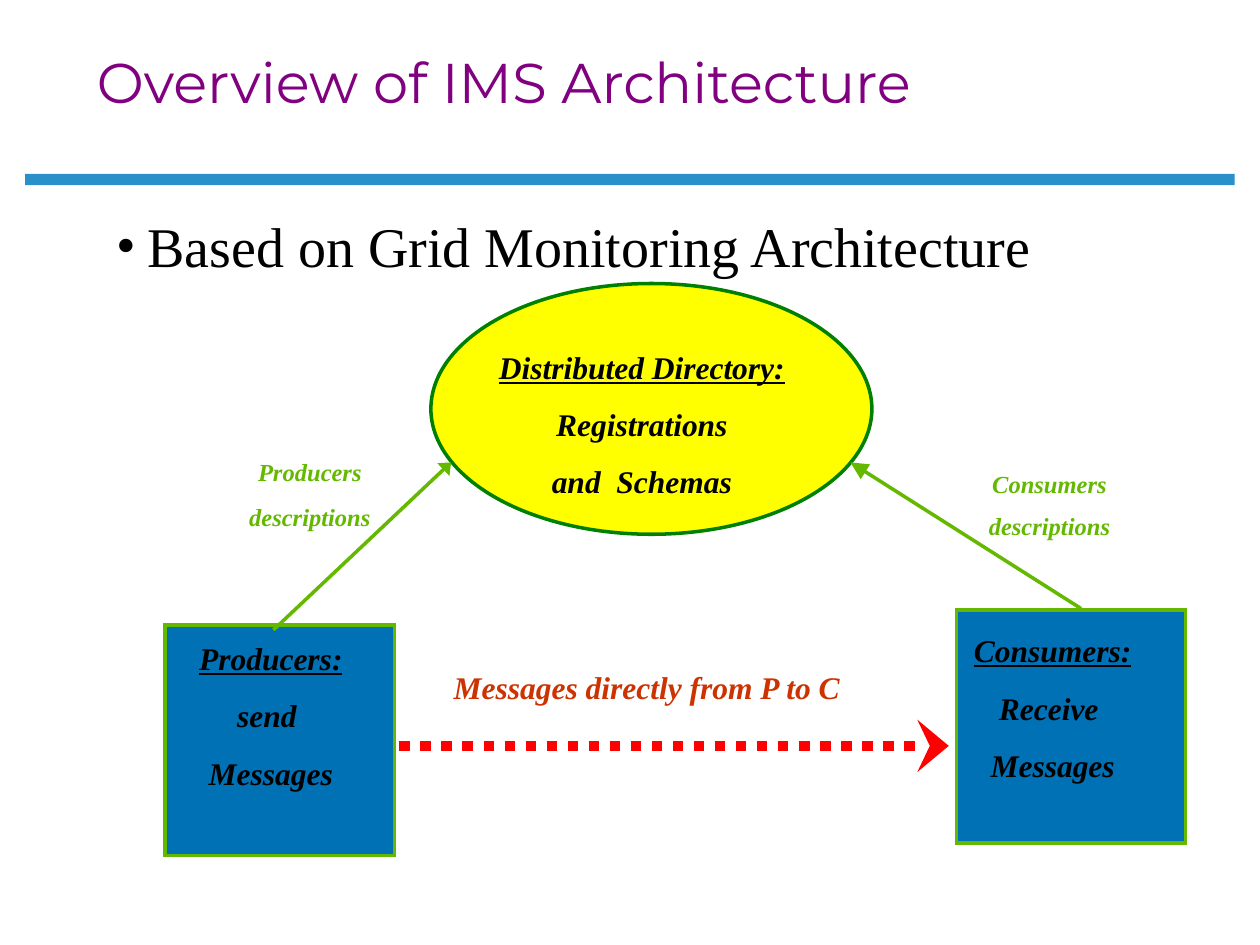
from pptx import Presentation
from pptx.dml.color import RGBColor
from pptx.enum.dml import MSO_LINE
from pptx.enum.shapes import MSO_CONNECTOR, MSO_SHAPE
from pptx.enum.text import MSO_ANCHOR, PP_ALIGN
from pptx.oxml.ns import qn
from pptx.util import Inches, Pt
from lxml import etree

RECT, OVAL = MSO_SHAPE.RECTANGLE, MSO_SHAPE.OVAL
STRAIGHT = MSO_CONNECTOR.STRAIGHT
LEFT, CENTER = PP_ALIGN.LEFT, PP_ALIGN.CENTER
TOP, MIDDLE = MSO_ANCHOR.TOP, MSO_ANCHOR.MIDDLE
DOTS = MSO_LINE.ROUND_DOT  # written as sysDot

COLORS = {
    "rule": "2990CA", "title": "800080", "box": "0071B5", "green": "64B900",
    "directory": "FFFF00", "directory_edge": "008000", "text": "000000",
    "message": "CC3300", "message_arrow": "FF0000",
}
SERIF = "Times New Roman"


def rgb(name):
    return RGBColor.from_string(COLORS[name])


def add_block(slide, kind, box, fill, edge=None):
    sp = slide.shapes.add_shape(kind, *map(Inches, box))
    sp.shadow.inherit = False
    sp.fill.solid()
    sp.fill.fore_color.rgb = rgb(fill)
    if edge:
        sp.line.color.rgb = rgb(edge)
        sp.line.width = Pt(2)
        etree.SubElement(sp.line._get_or_add_ln(), qn("a:miter")).set("lim", "800000")
    else:
        sp.line.fill.background()


def add_bullet(p, indent):
    pPr = p._p.get_or_add_pPr()
    pPr.set("marL", str(Inches(indent)))
    pPr.set("indent", str(-Inches(indent)))
    etree.SubElement(pPr, qn("a:buFont")).set("typeface", SERIF)
    etree.SubElement(pPr, qn("a:buChar")).set("char", "•")


def add_text(slide, box, lines, size=18, font=SERIF, color="text", align=CENTER,
             anchor=TOP, emphasis=True, heading=False, wrap=False, bullet=False,
             space=11.2):
    """Text box with one paragraph per line; heading underlines the first."""
    tf = slide.shapes.add_textbox(*map(Inches, box)).text_frame
    tf.word_wrap = wrap
    tf.vertical_anchor = anchor
    for i, line in enumerate(lines):
        p = tf.paragraphs[0] if i == 0 else tf.add_paragraph()
        p.alignment = align
        if i > 0:
            p.space_before = Pt(space)
        if bullet:
            add_bullet(p, 0.24)
        r = p.add_run()
        r.text = line
        r.font.size = Pt(size)
        r.font.name = font
        r.font.color.rgb = rgb(color)
        r.font.bold = r.font.italic = emphasis
        r.font.underline = heading and i == 0


def add_arrow(slide, start, end, color, width=2, head="triangle", length="lg", dash=None):
    line = slide.shapes.add_connector(STRAIGHT, *map(Inches, start + end))
    line.line.color.rgb = rgb(color)
    line.line.width = Pt(width)
    if dash:
        line.line.dash_style = dash
    tail = etree.SubElement(line.line._get_or_add_ln(), qn("a:tailEnd"))
    for key, value in (("type", head), ("w", "lg"), ("len", length)):
        tail.set(key, value)
    etree.SubElement(line._element.spPr, qn("a:effectLst"))


def main():
    prs = Presentation()
    prs.slide_width, prs.slide_height = Inches(10), Inches(7.5)
    slide = prs.slides.add_slide(prs.slide_layouts[6])

    add_block(slide, RECT, (0.2, 1.38, 9.6, 0.09), "rule")
    add_text(slide, (0.67, 0, 8.39, 1.28), ["Overview of IMS Architecture"],
             size=32, font="Montserrat", color="title", align=LEFT,
             anchor=MIDDLE, emphasis=False, wrap=True)

    add_block(slide, RECT, (7.59, 4.84, 1.82, 1.85), "box", "green")
    add_block(slide, OVAL, (3.42, 2.25, 3.5, 1.99), "directory", "directory_edge")
    add_block(slide, RECT, (1.31, 4.96, 1.82, 1.83), "box", "green")

    add_text(slide, (7.63, 4.96, 1.45, 1.32),
             ["Consumers:", "Receive ", "Messages"], heading=True)
    add_text(slide, (3.86, 2.71, 2.47, 1.32),
             ["Distributed Directory:", "Registrations", "and  Schemas"], heading=True)
    add_text(slide, (1.48, 5.02, 1.34, 1.32),
             ["Producers:", "send ", "Messages"], heading=True)

    add_arrow(slide, (3.17, 5.92), (7.53, 5.92), "message_arrow",
              width=6, head="stealth", length="med", dash=DOTS)
    add_arrow(slide, (2.17, 5), (3.58, 3.67), "green", length="med")
    add_arrow(slide, (8.58, 4.83), (6.75, 3.67), "green")

    add_text(slide, (3.5, 5.25, 3.27, 0.4), ["Messages directly from P to C"],
             color="message")
    add_text(slide, (1.86, 3.58, 1.2, 0.69), ["Producers", "descriptions"],
             size=14, color="green", space=8.8)
    add_text(slide, (7.73, 3.67, 1.2, 0.67), ["Consumers", "descriptions"],
             size=14, color="green", space=7.5)
    add_text(slide, (0.83, 1.75, 8.08, 0.39),
             ["Based on Grid Monitoring Architecture"], size=32, align=LEFT,
             anchor=MIDDLE, emphasis=False, wrap=True, bullet=True)

    prs.save("out.pptx")


if __name__ == "__main__":
    main()
